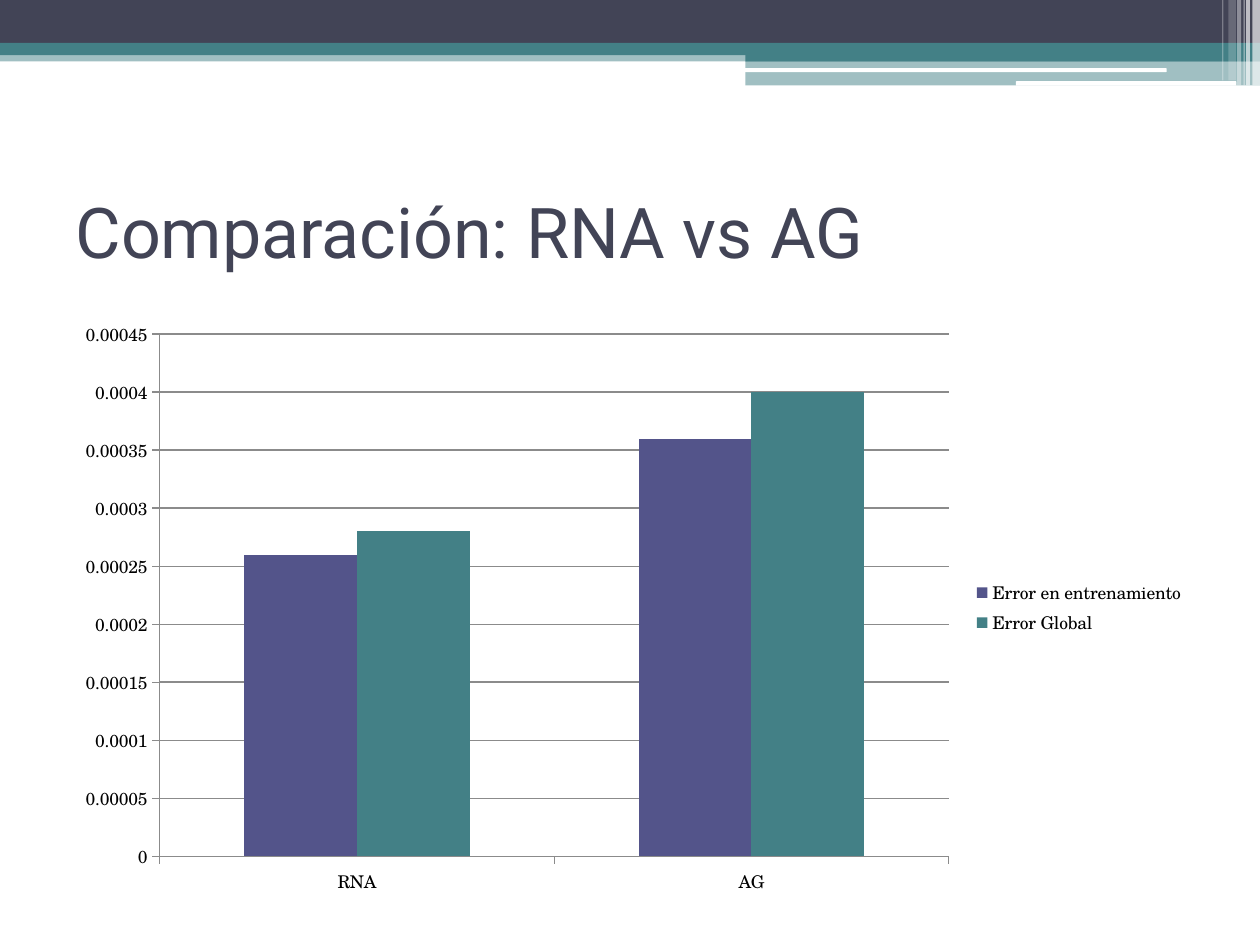
"""Build the slide that compares the errors of RNA and AG."""
from lxml import etree
from pptx import Presentation
from pptx.chart import data as cd
from pptx.dml import color as dml
from pptx.enum import chart as ch, shapes, text
from pptx.oxml import ns
from pptx.util import Pt

COLORS = {"navy": "424456", "teal": "438086", "violet": "53548A",
          "white": "FFFFFF", "black": "000000", "grey": "8B8B8B"}

BANDS = [
    (0, 28.8, 720, 6.3, "teal", 50),
    (0, 0, 720, 24.5, "navy", 100),
    (0, 24.5, 720, 7, "teal", 100),
    (426, 28, 294, 7.2, "teal", 100),
    (426, 35.2, 294, 13.6, "teal", 50),
]
BARS = [(425.5, 39, 241.2, 2.2), (580.5, 46.4, 126, 2.6)]
STRIPES = [
    (715.7, 4.3, 48.8, 65),
    (712.1, 2.2, 48.8, 65),
    (710.6, 0.7, 48.8, 60),
    (707, 2.2, 48.8, 40),
    (702, 4.3, 46, 20),
    (698.4, 0.7, 46, 30),
]


def rgb(name):
    return dml.RGBColor.from_string(COLORS[name])


def add_block(s, x, y, w, h, color, alpha=100, kind=shapes.MSO_SHAPE.RECTANGLE):
    sp = s.shapes.add_shape(kind, Pt(x), Pt(y), Pt(w), Pt(h))
    sp.shadow.inherit = False
    sp.fill.solid()
    sp.fill.fore_color.rgb = rgb(color)
    sp.line.fill.background()
    if alpha < 100:
        clr = sp.fill._xPr.find(".//" + ns.qn("a:srgbClr"))
        etree.SubElement(clr, ns.qn("a:alpha"), val=str(alpha * 1000))


def add_header(s):
    for band in BANDS:
        add_block(s, *band)
    for bar in BARS:
        add_block(s, *bar, "white", kind=shapes.MSO_SHAPE.ROUNDED_RECTANGLE)
    for x, w, h, alpha in STRIPES:
        add_block(s, x, 0, w, h, "white", alpha)


def set_title(s, title):
    sp = s.shapes.title
    sp.left, sp.top, sp.width, sp.height = Pt(36), Pt(90), Pt(648), Pt(84)
    tf = sp.text_frame
    tf.text = title
    tf.vertical_anchor = text.MSO_ANCHOR.MIDDLE
    p = tf.paragraphs[0]
    p.alignment = text.PP_ALIGN.LEFT
    p.font.name, p.font.size = "Roboto", Pt(40)
    p.font.color.rgb = rgb("navy")


def style_line(line):
    line.color.rgb = rgb("grey")
    line.width = Pt(0.75)


def add_error_chart(s):
    data = cd.CategoryChartData()
    data.categories = ["RNA", "AG"]
    data.add_series("Error en entrenamiento", (0.00026, 0.00036))
    data.add_series("Error Global", (0.00028, 0.0004))
    chart = s.shapes.add_chart(ch.XL_CHART_TYPE.COLUMN_CLUSTERED, Pt(36), Pt(177),
                               Pt(648), Pt(340.5), data).chart
    chart.has_title = False
    chart.font.name, chart.font.size = "TeX Gyre Schola", Pt(10)
    chart.font.color.rgb = rgb("black")
    chart.has_legend = True
    chart.legend.position = ch.XL_LEGEND_POSITION.RIGHT
    chart.legend.include_in_layout = False

    for axis in (chart.category_axis, chart.value_axis):
        axis.major_tick_mark = ch.XL_TICK_MARK.OUTSIDE
        axis.minor_tick_mark = ch.XL_TICK_MARK.NONE
        style_line(axis.format.line)
    axis = chart.value_axis
    axis.minimum_scale, axis.maximum_scale, axis.major_unit = 0, 0.00045, 0.00005
    axis.has_major_gridlines = True
    style_line(axis.major_gridlines.format.line)

    plot = chart.plots[0]
    plot.gap_width, plot.overlap, plot.vary_by_categories = 150, 0, False
    for series, color in zip(plot.series, ("violet", "teal")):
        series.format.fill.solid()
        series.format.fill.fore_color.rgb = rgb(color)


def main():
    prs = Presentation()
    prs.slide_width, prs.slide_height = Pt(720), Pt(540)
    s = prs.slides.add_slide(prs.slide_layouts[5])
    add_header(s)
    set_title(s, "Comparación: RNA vs AG")
    add_error_chart(s)
    prs.save("out.pptx")


if __name__ == "__main__":
    main()
